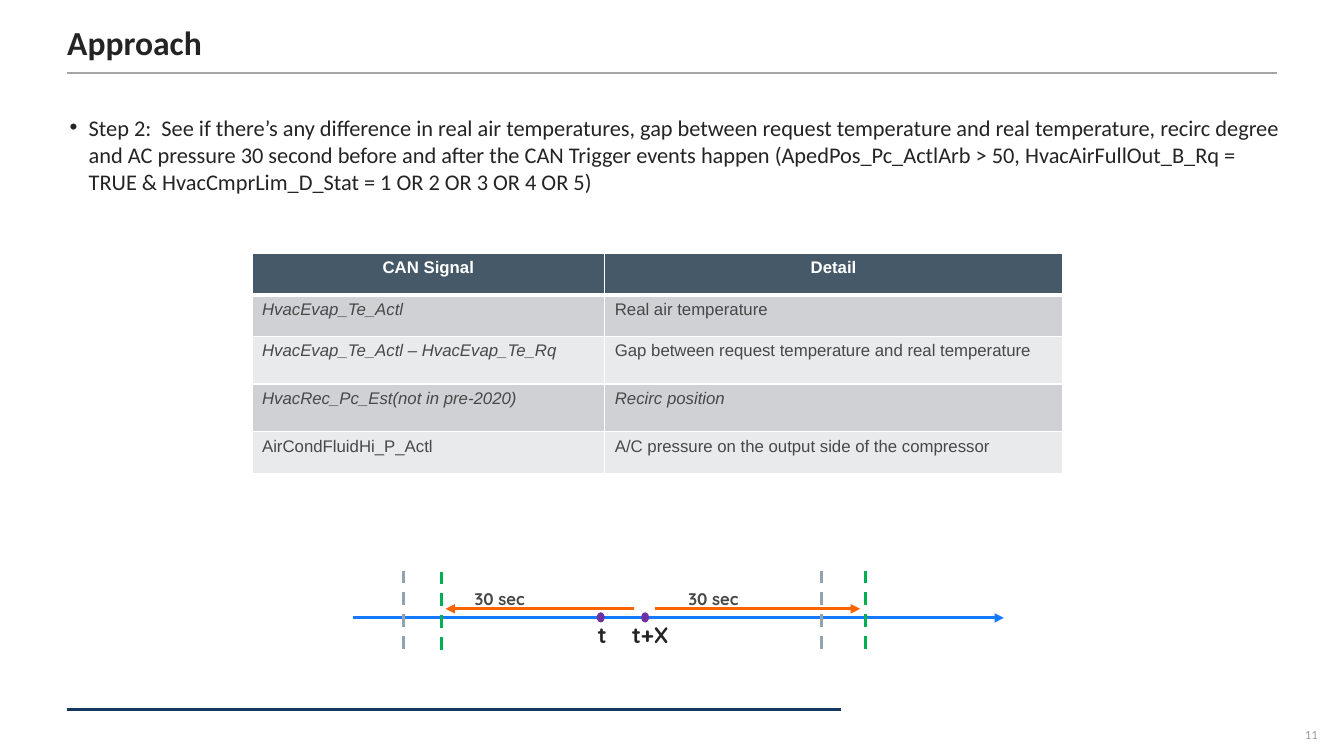
from dataclasses import dataclass
from typing import Optional

from lxml.etree import SubElement
from pptx import Presentation
from pptx.dml.color import RGBColor
from pptx.enum.dml import MSO_LINE_DASH_STYLE as Dash
from pptx.enum.shapes import MSO_CONNECTOR as Connector, MSO_SHAPE as Preset
from pptx.enum.text import MSO_ANCHOR as Anchor, MSO_AUTO_SIZE as AutoSize, PP_ALIGN as Align
from pptx.oxml.ns import qn
from pptx.util import Inches, Length, Pt

WHITE = RGBColor(0xFF, 0xFF, 0xFF)
INK = RGBColor(0x24, 0x24, 0x24)
DARK_GREY = RGBColor(0x47, 0x48, 0x47)
PAGE_GREY = RGBColor(0x99, 0x99, 0x99)
RULE_GREY = RGBColor(0xA6, 0xA6, 0xA6)
NAVY = RGBColor(0x17, 0x37, 0x5E)
SLATE = RGBColor(0x45, 0x59, 0x68)
BAND_DARK = RGBColor(0xCF, 0xD1, 0xD4)
BAND_LIGHT = RGBColor(0xE9, 0xEA, 0xEB)
BLUE = RGBColor(0x15, 0x7A, 0xFF)
ORANGE = RGBColor(0xF9, 0x64, 0x00)
PURPLE = RGBColor(0x70, 0x30, 0xA0)
STEEL = RGBColor(0x91, 0xA3, 0xB0)
GREEN = RGBColor(0x00, 0xB0, 0x50)

COLUMNS, ROWS = 40, 30
SLIDE_WIDTH, SLIDE_HEIGHT = Inches(13.333), Inches(7.5)


def col(count: float) -> Length:
    return Length(round(SLIDE_WIDTH * count / COLUMNS))


def row(count: float) -> Length:
    return Length(round(SLIDE_HEIGHT * count / ROWS))


@dataclass(frozen=True)
class Box:
    """A rectangle in grid columns and rows."""
    left: float
    top: float
    width: float
    height: float

    def lengths(self) -> tuple:
        return col(self.left), row(self.top), col(self.width), row(self.height)


@dataclass(frozen=True)
class Style:
    font: str
    size: float
    color: RGBColor
    bold: bool = False
    italic: bool = False


@dataclass(frozen=True)
class Line:
    start: tuple
    end: tuple
    color: RGBColor
    width: float = 2.25
    arrow: bool = False
    dashed: bool = False


@dataclass(frozen=True)
class Label:
    text: str
    box: Box
    style: Style


@dataclass(frozen=True)
class Signal:
    name: str
    detail: str
    height: float = 1.64
    italic_name: bool = True
    italic_detail: bool = False


HEADING = Style("Calibri", 24, INK, bold=True)
BODY = Style("Calibri", 16, INK)
PAGE = Style("Lato", 8, PAGE_GREY)
HEADER = Style("Arial", 12, WHITE, bold=True)
SPAN = Style("Quicksand", 12, DARK_GREY, bold=True)
MOMENT = Style("Quicksand", 16, INK, bold=True)

STEP = ("Step 2:  See if there’s any difference in real air temperatures, gap between request "
        "temperature and real temperature, recirc degree and AC pressure 30 second before and "
        "after the CAN Trigger events happen (ApedPos_Pc_ActlArb > 50, HvacAirFullOut_B_Rq = "
        "TRUE & HvacCmprLim_D_Stat = 1 OR 2 OR 3 OR 4 OR 5)")

SIGNALS = [
    Signal("HvacEvap_Te_Actl", "Real air temperature"),
    Signal("HvacEvap_Te_Actl – HvacEvap_Te_Rq",
           "Gap between request temperature and real temperature", height=1.9),
    Signal("HvacRec_Pc_Est(not in pre-2020)", "Recirc position", height=1.9, italic_detail=True),
    Signal("AirCondFluidHi_P_Actl", "A/C pressure on the output side of the compressor",
           italic_name=False),
]
HEADER_HEIGHT = 1.64
SIGNAL_COLUMNS = (10.5, 13.62)

AXIS_ROW, SPAN_ROW = 24.52, 24.16
MARK_TOP, MARK_HEIGHT = 22.64, 3.32
RULES = [
    Line((2, 2.9), (38, 2.9), RULE_GREY, width=1),
    Line((2, 28.16), (25.02, 28.16), NAVY),
]
ARROWS = [
    Line((10.5, AXIS_ROW), (29.88, AXIS_ROW), BLUE, arrow=True),
    Line((19.5, SPAN_ROW), (25.6, SPAN_ROW), ORANGE, arrow=True),
    Line((18.88, SPAN_ROW), (13.26, SPAN_ROW), ORANGE, arrow=True),
]
WINDOW_MARKS = [
    Line((x, MARK_TOP + drop), (x, MARK_TOP + drop + MARK_HEIGHT), color, dashed=True)
    for x, drop, color in ((12, 0, STEEL), (24.45, 0, STEEL), (13.14, 0.04, GREEN), (25.77, 0, GREEN))
]
SPAN_LABELS = [Label("30 sec", Box(left, 23.16, 6.33, 2), SPAN) for left in (13.83, 20.19)]
MOMENT_LABELS = [
    Label(text, Box(left, 24.44, width, 1.48), MOMENT)
    for text, left, width in (("t", 17.49, 0.96), ("t+X", 18.51, 2.19))
]
DOTS = [Box(left, 24.32, 0.2, 0.36) for left in (17.78, 19.1)]


def add_run(paragraph, text: str, style: Style) -> None:
    run = paragraph.add_run()
    run.text = text
    font = run.font
    font.name, font.size = style.font, Pt(style.size)
    font.bold, font.italic = style.bold, style.italic
    font.color.rgb = style.color


def draw_line(slide, line: Line) -> None:
    (x1, y1), (x2, y2) = line.start, line.end
    connector = slide.shapes.add_connector(Connector.STRAIGHT, col(x1), row(y1), col(x2), row(y2))
    connector.line.color.rgb = line.color
    connector.line.width = Pt(line.width)
    if line.dashed:
        connector.line.dash_style = Dash.DASH
    properties = connector._element.spPr
    if line.arrow:
        SubElement(properties.find(qn("a:ln")), qn("a:tailEnd"), type="triangle")
    SubElement(properties, qn("a:effectLst"))


def draw_label(slide, label: Label):
    frame = slide.shapes.add_textbox(*label.box.lengths()).text_frame
    frame.word_wrap = True
    add_run(frame.paragraphs[0], label.text, label.style)
    return frame


def draw_dot(slide, box: Box) -> None:
    dot = slide.shapes.add_shape(Preset.OVAL, *box.lengths())
    dot.shadow.inherit = False
    dot.fill.solid()
    dot.fill.fore_color.rgb = dot.line.color.rgb = PURPLE
    dot.line.width = Pt(0.75)


def fill_placeholder(placeholder, box: Box, text: str, style: Style, anchor: Anchor):
    """Move a template placeholder, write its text and return the paragraph."""
    placeholder.left, placeholder.top, placeholder.width, placeholder.height = box.lengths()
    frame = placeholder.text_frame
    frame.auto_size, frame.vertical_anchor = AutoSize.NONE, anchor
    frame.margin_left = 0
    paragraph = frame.paragraphs[0]
    paragraph.alignment, paragraph.space_before = Align.LEFT, Pt(0)
    add_run(paragraph, text, style)
    return paragraph


def set_bullet(paragraph, indent: Length) -> None:
    properties = paragraph._p.get_or_add_pPr()
    properties.set("marL", str(indent))
    properties.set("indent", str(-indent))
    SubElement(properties, qn("a:buFont"), typeface="Arial")
    SubElement(properties, qn("a:buChar"), char="•")


def write_cell(cell, text: str, style: Style, fill: RGBColor, align: Align,
               top: float = 1, bottom: float = 1) -> None:
    properties = cell._tc.get_or_add_tcPr()
    for side, width in (("L", 1), ("R", 1), ("T", top), ("B", bottom)):
        border = SubElement(properties, qn(f"a:ln{side}"), w=str(Pt(width)))
        SubElement(SubElement(border, qn("a:solidFill")), qn("a:srgbClr"), val=str(WHITE))
    cell.fill.solid()
    cell.fill.fore_color.rgb = fill
    paragraph = cell.text_frame.paragraphs[0]
    paragraph.alignment = align
    add_run(paragraph, text, style)


def draw_signal_table(slide) -> None:
    heights = [HEADER_HEIGHT] + [signal.height for signal in SIGNALS]
    box = Box(7.5, 10.06, sum(SIGNAL_COLUMNS), sum(heights))
    table = slide.shapes.add_table(len(heights), len(SIGNAL_COLUMNS), *box.lengths()).table
    for index, height in enumerate(heights):
        table.rows[index].height = row(height)
    for index, (width, heading) in enumerate(zip(SIGNAL_COLUMNS, ("CAN Signal", "Detail"))):
        table.columns[index].width = col(width)
        write_cell(table.cell(0, index), heading, HEADER, SLATE, Align.CENTER, bottom=3)
    for index, signal in enumerate(SIGNALS, start=1):
        fill = BAND_DARK if index % 2 else BAND_LIGHT
        entries = ((signal.name, signal.italic_name), (signal.detail, signal.italic_detail))
        for column, (text, italic) in enumerate(entries):
            style = Style("Arial", 12, DARK_GREY, italic=italic)
            write_cell(table.cell(index, column), text, style, fill, Align.LEFT,
                       top=3 if index == 1 else 1)


def draw_page_number(slide) -> None:
    frame = draw_label(slide, Label("11", Box(38.07, 28.36, 1.93, 1.6), PAGE))
    frame.margin_left = frame.margin_right = frame.margin_top = frame.margin_bottom = 0
    frame.vertical_anchor = Anchor.MIDDLE
    frame.paragraphs[0].alignment = Align.CENTER


def main() -> None:
    deck = Presentation()
    deck.slide_width, deck.slide_height = SLIDE_WIDTH, SLIDE_HEIGHT
    slide = deck.slides.add_slide(deck.slide_layouts[1])
    title, body = slide.placeholders
    fill_placeholder(title, Box(2, 0.64, 36, 2.04), "Approach", HEADING, Anchor.BOTTOM)
    step = fill_placeholder(body, Box(2.07, 4.32, 36.45, 23.36), STEP, BODY, Anchor.TOP)
    step.space_after = Pt(6)
    set_bullet(step, col(0.57))
    draw_page_number(slide)
    draw_signal_table(slide)
    for line in RULES + ARROWS:
        draw_line(slide, line)
    for label in SPAN_LABELS + MOMENT_LABELS:
        draw_label(slide, label)
    for dot in DOTS:
        draw_dot(slide, dot)
    for mark in WINDOW_MARKS:
        draw_line(slide, mark)
    deck.save("out.pptx")


if __name__ == "__main__":
    main()
